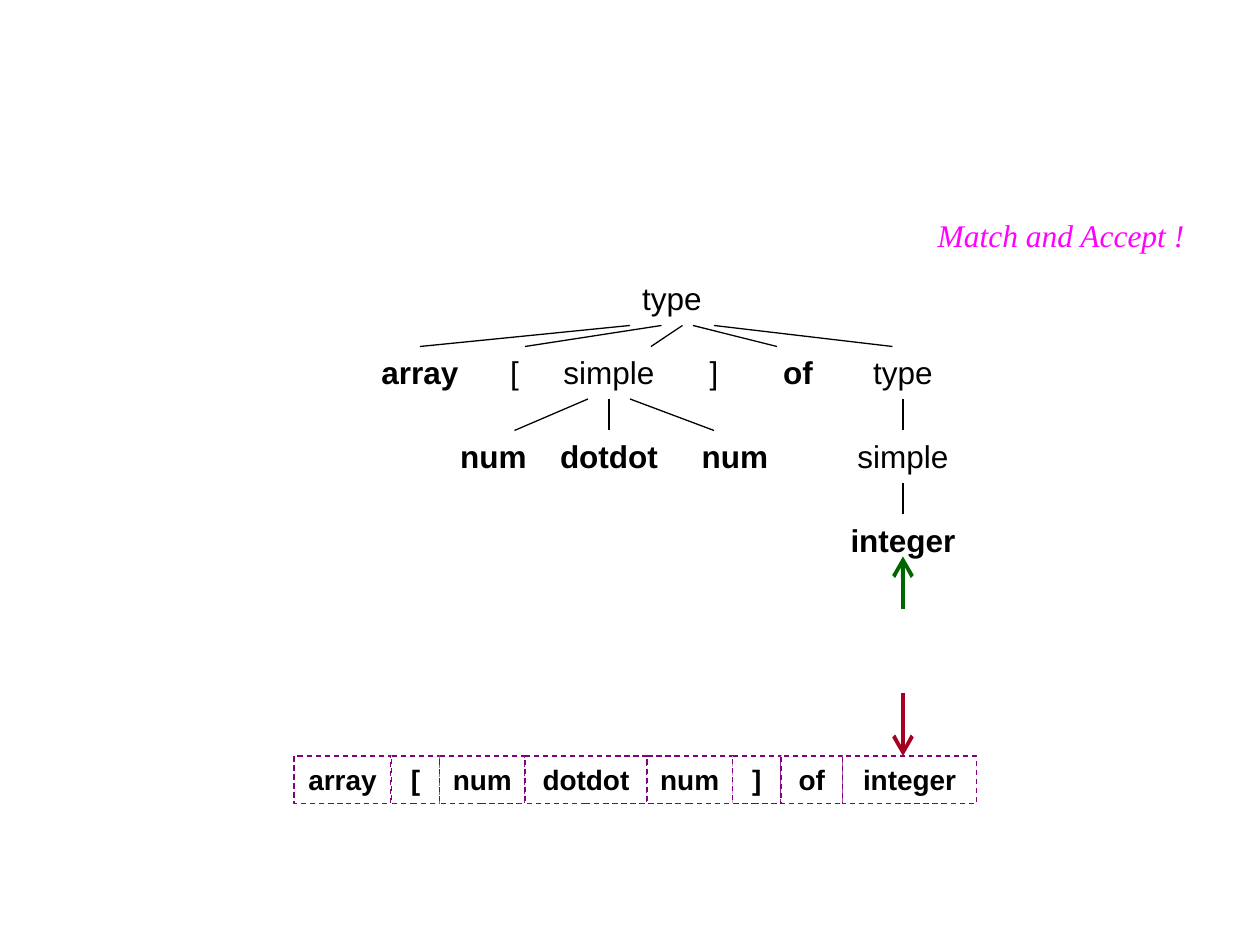
from collections import namedtuple

from lxml import etree
from pptx import Presentation
from pptx.dml.color import RGBColor
from pptx.enum.dml import MSO_LINE
from pptx.enum.shapes import MSO_CONNECTOR, MSO_SHAPE
from pptx.enum.text import MSO_ANCHOR, MSO_AUTO_SIZE, PP_ALIGN
from pptx.oxml.ns import qn
from pptx.util import Emu, Pt

PX = 9525  # EMU in one px, 96 px to the inch
BLACK = RGBColor(0x00, 0x00, 0x00)
WHITE = RGBColor(0xFF, 0xFF, 0xFF)
PURPLE = RGBColor(0x80, 0x00, 0x80)
GREEN = RGBColor(0x00, 0x66, 0x00)
RED = RGBColor(0xA5, 0x00, 0x21)
PINK = RGBColor(0xFF, 0x00, 0xFF)
STRAIGHT, RECT = MSO_CONNECTOR.STRAIGHT, MSO_SHAPE.RECTANGLE
CENTER, RIGHT = PP_ALIGN.CENTER, PP_ALIGN.RIGHT
TOP, MIDDLE = MSO_ANCHOR.TOP, MSO_ANCHOR.MIDDLE
GROW, DASH = MSO_AUTO_SIZE.SHAPE_TO_FIT_TEXT, MSO_LINE.DASH
TOP_SIDE = 0

NODE_W, WIDE_W, NODE_H = 96, 112, 38
ROOT_MID = 240   # centre of the root in the tree
LAST_MID = 416   # centre of the last branch, above the arrows

# A node has its centre x, and a link from x "start" at its parent to x "end"
# at the node. Terminals of the grammar are bold.
Node = namedtuple("Node", "text mid bold start end width",
                  defaults=(None, None, NODE_W))
Level = namedtuple("Level", "top rise nodes")  # rise: height of the links
LEVELS = [
    Level(0, 0, [Node("type", ROOT_MID, False)]),
    Level(56, 16, [
        Node("array", 48, True, 208, 48),
        Node("[", 120, False, 232, 128),
        Node("simple", 192, False, 248, 224),
        Node("]", 272, False),
        Node("of", 336, True, 256, 320),
        Node("type", LAST_MID, False, 272, 408),
    ]),
    Level(120, 24, [
        Node("num", 104, True, 176, 120),
        Node("dotdot", 192, True, 192, 192),
        Node("num", 288, True, 208, 272),
        Node("simple", LAST_MID, False, LAST_MID, LAST_MID),
    ]),
    Level(184, 24, [
        Node("integer", LAST_MID, True, LAST_MID, LAST_MID, WIDE_W),
    ]),
]
TOKENS = [("array", 74), ("[", 37), ("num", 65), ("dotdot", 93),
          ("num", 65), ("]", 37), ("of", 47), ("integer", 102)]


def px(*vals):
    return [Emu(val * PX) for val in vals]


def write(shape, text, size=18, font="Arial", color=BLACK, bold=False,
          italic=False, align=CENTER, anchor=TOP):
    frame = shape.text_frame
    frame.word_wrap = True
    frame.vertical_anchor = anchor
    para = frame.paragraphs[0]
    para.alignment = align
    run = para.add_run()
    run.text = text
    face = run.font
    face.name, face.size, face.color.rgb = font, Pt(size), color
    face.bold, face.italic = bold, italic


def label(shapes, text, left, top, width, **form):
    box = shapes.add_textbox(*px(left, top, width, NODE_H))
    write(box, text, **form)
    box.text_frame.auto_size = GROW
    return box


def stroke(shapes, start, end, color=BLACK, width=0.75):
    line = shapes.add_connector(STRAIGHT, *px(*start, *end))
    line.line.color.rgb = color
    line.line.width = Pt(width)
    etree.SubElement(line.element.spPr, qn("a:effectLst"))
    return line


def arrow(shapes, start, end, color):
    line = stroke(shapes, start, end, color, 2.25)
    pen = line.element.spPr.find(qn("a:ln"))
    etree.SubElement(pen, qn("a:tailEnd"), type="arrow", w="lg", len="lg")


def parse_tree(slide, left, top):
    shapes = slide.shapes.add_group_shape().shapes
    for level in LEVELS:
        y = top + level.top
        for node in level.nodes:
            x = left + node.mid - node.width // 2
            box = label(shapes, node.text, x, y, node.width, bold=node.bold)
            if node.start is None:
                continue
            link = stroke(shapes, (left + node.start, y - level.rise),
                          (left + node.end, y))
            if node.end == node.mid:
                link.end_connect(box, TOP_SIDE)


def token_row(slide, left, top, height):
    shapes = slide.shapes.add_group_shape().shapes
    for text, width in TOKENS:
        cell = shapes.add_shape(RECT, *px(left, top, width, height))
        cell.shadow.inherit = False
        cell.fill.solid()
        cell.fill.fore_color.rgb = WHITE
        cell.line.color.rgb = PURPLE
        cell.line.width = Pt(0.75)
        cell.line.dash_style = DASH
        write(cell, text, size=16, bold=True, anchor=MIDDLE)
        cell.text_frame.margin_left = cell.text_frame.margin_right = 0
        left += width


def pointers(slide, mid, top, bottom):
    """Point up at the current tree node and down at the current token."""
    arrow(slide.shapes, (mid, top + 40), (mid, top), GREEN)
    arrow(slide.shapes, (mid, bottom - 48), (mid, bottom), RED)


def main():
    deck = Presentation()
    deck.slide_width, deck.slide_height = px(960, 720)
    slide = deck.slides.add_slide(deck.slide_layouts[6])
    tree_x, tree_y, row_y = 272, 208, 576
    token_row(slide, 224, row_y, 36)
    pointers(slide, tree_x + LAST_MID, 424, row_y)
    parse_tree(slide, tree_x, tree_y)
    label(slide.shapes, "Match and Accept !", 16, 160, 896, color=PINK,
          font="Times New Roman", italic=True, align=RIGHT)
    deck.save("out.pptx")


if __name__ == "__main__":
    main()
